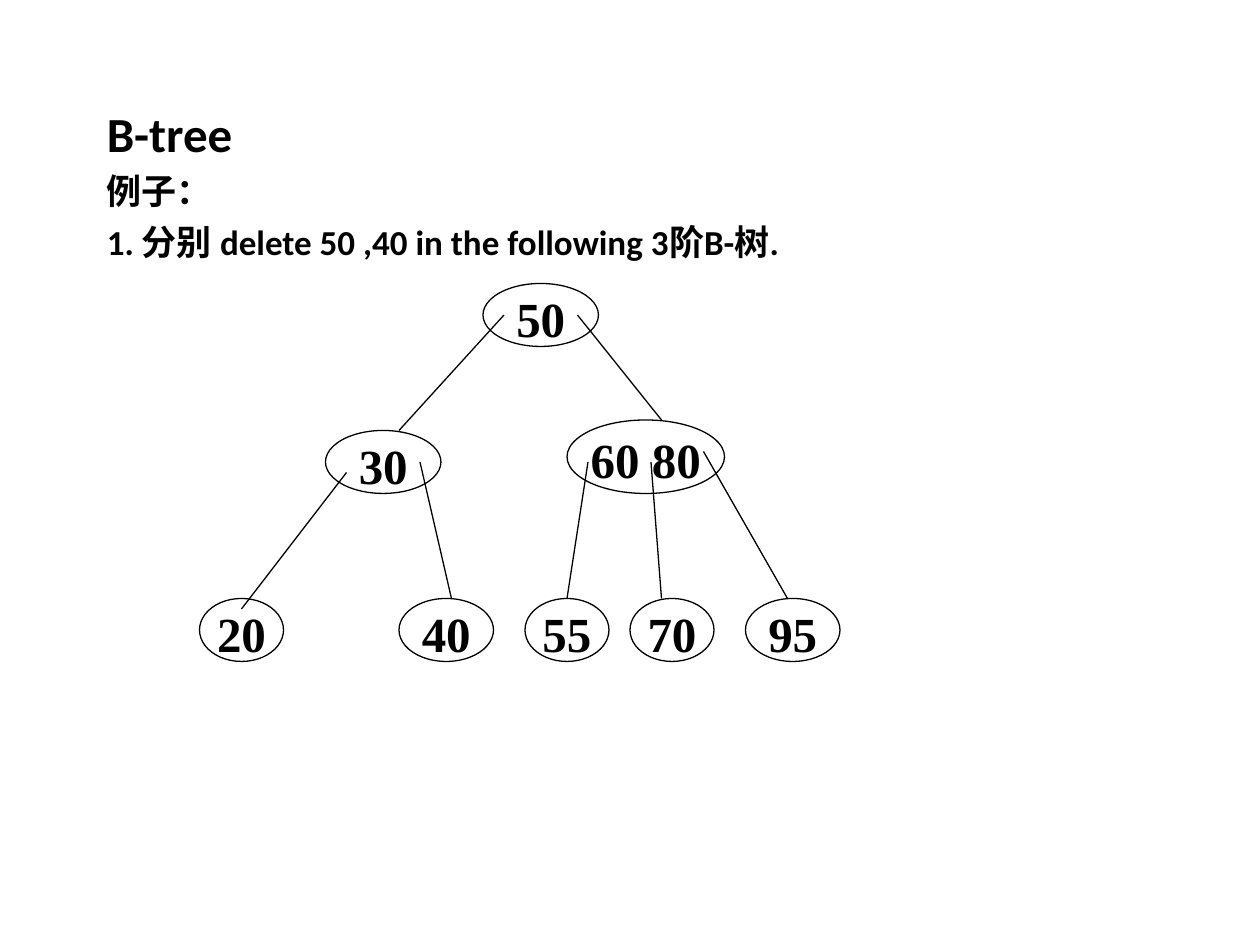
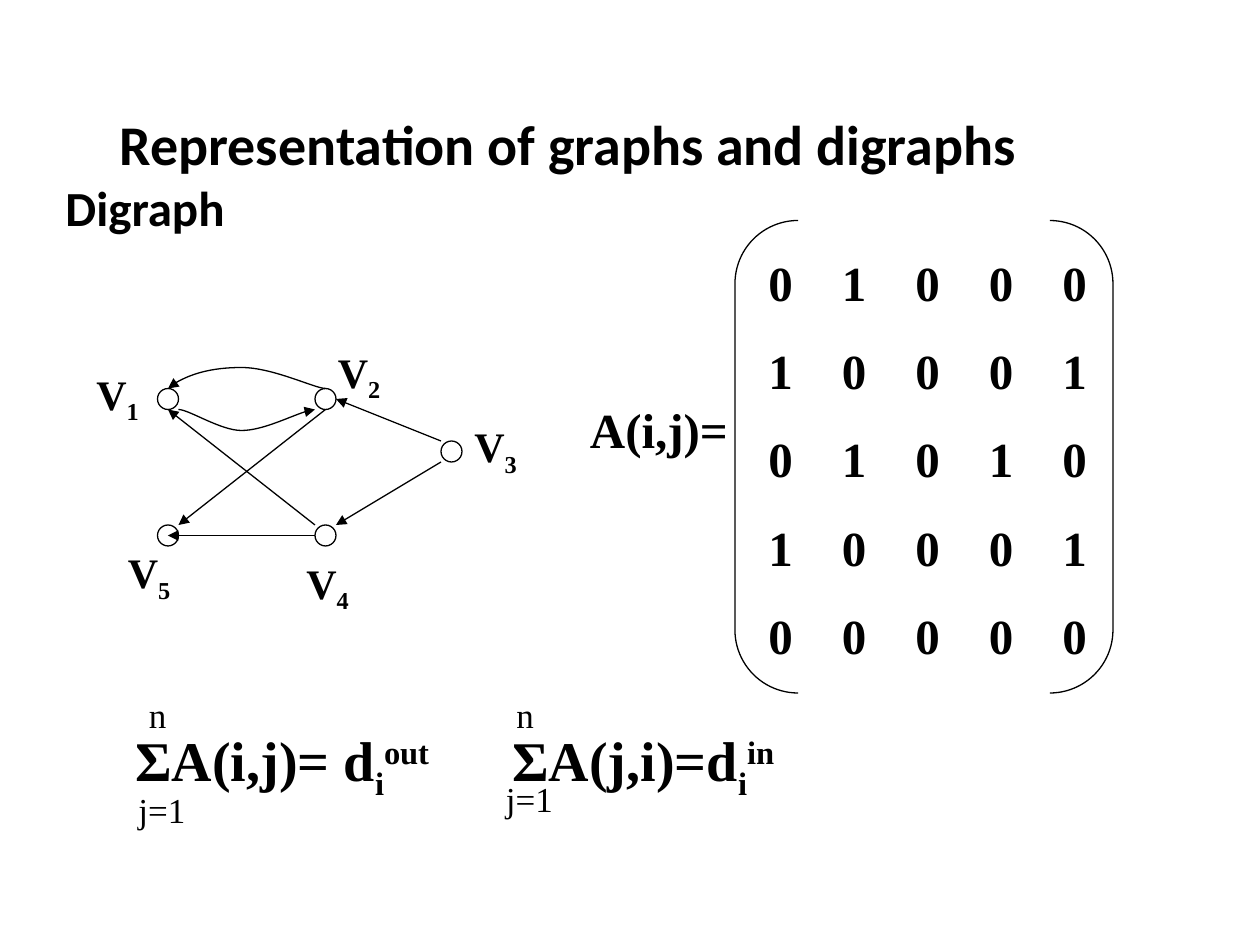
from dataclasses import dataclass

from lxml import etree
from pptx import Presentation
from pptx.dml.color import RGBColor
from pptx.enum.shapes import MSO_CONNECTOR, MSO_SHAPE
from pptx.enum.text import MSO_ANCHOR, PP_ALIGN
from pptx.oxml.ns import qn
from pptx.util import Inches, Pt

OVAL, BRACKETS = MSO_SHAPE.OVAL, MSO_SHAPE.DOUBLE_BRACKET
STRAIGHT = MSO_CONNECTOR.STRAIGHT
LEFT, CENTER = PP_ALIGN.LEFT, PP_ALIGN.CENTER
TOP, MIDDLE = MSO_ANCHOR.TOP, MSO_ANCHOR.MIDDLE
SHIFTS = {"_": "-25000", "^": "30000"}


@dataclass(frozen=True)
class Theme:
    ink: RGBColor = RGBColor(0, 0, 0)
    sans: str = "Calibri"
    serif: str = "Times New Roman"
    heading: int = 32
    key: int = 28
    vertex: int = 24
    body: int = 20
    stroke: float = 0.75


theme = Theme()
prs = Presentation()
prs.slide_width, prs.slide_height = Inches(10), Inches(7.5)
CELL = prs.slide_width // 120
blank = prs.slide_layouts[6]


def write(shape, text, size=theme.key, font=theme.serif, bold=True, align=LEFT,
          anchor=TOP, wrap=True, before=0, leading=None, tabs=()):
    frame = shape.text_frame
    frame.word_wrap, frame.vertical_anchor = wrap, anchor
    frame.margin_left = frame.margin_right = Inches(0.1)
    frame.margin_top = Inches(0.09 if font == theme.serif else 0.05)
    frame.margin_bottom = Inches(0.05)
    for number, line in enumerate(text.split("\n")):
        paragraph = frame.add_paragraph() if number else frame.paragraphs[0]
        paragraph.alignment, paragraph.line_spacing = align, leading
        paragraph.space_before = Pt(before if number else 0)
        if tabs:
            stops = etree.SubElement(paragraph._p.get_or_add_pPr(), qn("a:tabLst"))
            for stop in tabs:
                etree.SubElement(stops, qn("a:tab"), pos=str(round(stop * CELL)), algn="l")
        for piece in line.split("|"):
            run = paragraph.add_run()
            run.text = piece.lstrip("_^")
            run.font.size, run.font.name, run.font.bold = Pt(size), font, bold
            run.font.color.rgb = theme.ink
            if piece[0] in SHIFTS:
                run.font._element.set("baseline", SHIFTS[piece[0]])


def outline(shape, arrow=False):
    shape.line.color.rgb = theme.ink
    shape.line.width = Pt(theme.stroke)
    properties = shape._element.spPr
    if arrow:
        etree.SubElement(properties.find(qn("a:ln")), qn("a:tailEnd"), type="triangle")
    if hasattr(shape, "fill"):
        shape.fill.background()
        shape.shadow.inherit = False
    else:
        etree.SubElement(properties, qn("a:effectLst"))


tree = prs.slides.add_slide(blank)
digraph = prs.slides.add_slide(blank)

headings = [
    (tree, (9, 8, 102, 10), "B-tree", theme.key, MIDDLE),
    (tree, (9, 16, 102, 64), "例子：\n1. 分别 delete 50 ,40 in the following 3阶B-树.", theme.body, TOP),
    (digraph, (9, 9, 102, 10), " Representation of graphs and digraphs", theme.heading, MIDDLE),
    (digraph, (4, 17, 111, 66), " Digraph", theme.key, TOP),
]
for slide, place, words, size, anchor in headings:
    write(slide.shapes.add_textbox(*[v * CELL for v in place]), words, size=size,
          font=theme.sans, anchor=anchor, before=7.5, leading=0.9)

tree_nodes = {
    "50": (46, 27, 11, 6),
    "30": (31, 41, 11, 6), "60 80": (54, 40, 15, 7),
    "20": (19, 57, 8, 6), "40": (38, 57, 9, 6), "55": (50, 57, 8, 6),
    "70": (60, 57, 8, 6), "95": (71, 57, 9, 6),
}
for keys, place in tree_nodes.items():
    node = tree.shapes.add_shape(OVAL, *[v * CELL for v in place])
    outline(node)
    write(node, keys, align=CENTER, anchor=MIDDLE, wrap=False)

VERTEX = 2
for left, top in [(15, 37), (15, 50), (30, 50), (30, 37), (42, 42)]:
    outline(digraph.shapes.add_shape(OVAL, left * CELL, top * CELL, VERTEX * CELL, VERTEX * CELL))

branches = [(48, 30, 38, 41), (55, 30, 63, 40), (33, 45, 23, 58), (40, 44, 43, 57),
            (56, 44, 54, 57), (62, 44, 63, 57), (67, 43, 75, 57)]
arrows = [(31, 39, 17, 50), (30, 50, 16, 39), (30, 51, 16, 51), (42, 42, 32, 38), (42, 44, 32, 50)]
for slide, edges, directed in [(tree, branches, False), (digraph, arrows, True)]:
    for ends in edges:
        outline(slide.shapes.add_connector(STRAIGHT, *[v * CELL for v in ends]), directed)

arcs = [
    [(17, 39), (18, 39.2), (20.6, 40.7), (22.8, 40.7), (25, 40.7), (28.6, 39.4), (30, 39)],
    [(31, 37), (29.6, 36.6), (25.6, 34.6), (23, 34.6), (20.5, 34.6), (17.4, 36.5), (16, 37.1)],
]
for start, *controls in arcs:
    builder = digraph.shapes.build_freeform(*start, scale=CELL)
    builder.add_line_segments(controls, close=False)
    arc = builder.convert_to_shape()
    outline(arc, arrow=True)
    segments = arc._element.findall(".//" + qn("a:lnTo"))
    for first in range(0, len(segments), 3):
        bend = etree.SubElement(segments[first].getparent(), qn("a:cubicBezTo"))
        for segment in segments[first:first + 3]:
            bend.append(segment[0])
            segment.getparent().remove(segment)

brackets = digraph.shapes.add_shape(BRACKETS, 70 * CELL, 21 * CELL, 36 * CELL, 45 * CELL)
brackets.adjustments[0] = 0.167
outline(brackets)

adjacency = ["01000", "10001", "01010", "10001", "00000"]
matrix = digraph.shapes.add_textbox(72 * CELL, 23 * CELL, 37 * CELL, round(40.4 * CELL))
write(matrix, "\n".join("\t".join(row) for row in adjacency), before=16.7,
      tabs=[7 * column for column in range(1, 5)])

sums = digraph.shapes.add_textbox(7 * CELL, 68 * CELL, 108 * CELL, round(7.7 * CELL))
write(sums, "\tΣA(i,j)= d|_i|^out|\tΣA(j,i)=d|_i|^in", size=theme.heading, tabs=(4.7, 40.6))

labels = [
    ("V|_1", (8, 34, 7, 6.1), theme.vertex, True),
    ("V|_2", (31, 31.9, 10, 6.1), theme.vertex, True),
    ("V|_5", (11, 51, 8, 6.1), theme.vertex, True),
    ("V|_4", (28, 52, 11, 6.1), theme.vertex, True),
    ("V|_3", (44, 39, 7, 6.1), theme.vertex, True),
    ("A(i,j)=", (55, 37, 20, 6.8), theme.key, True),
    ("j=1", (12, 74, 9, 5.1), theme.body, False),
    ("n", (13, 65, 5, 5.1), theme.body, False),
    ("n", (48, 65, 5, 5.1), theme.body, False),
    ("j=1", (47, 73, 9, 5.1), theme.body, False),
]
for words, place, size, bold in labels:
    write(digraph.shapes.add_textbox(*[round(v * CELL) for v in place]), words, size=size, bold=bold)

prs.save("out.pptx")
